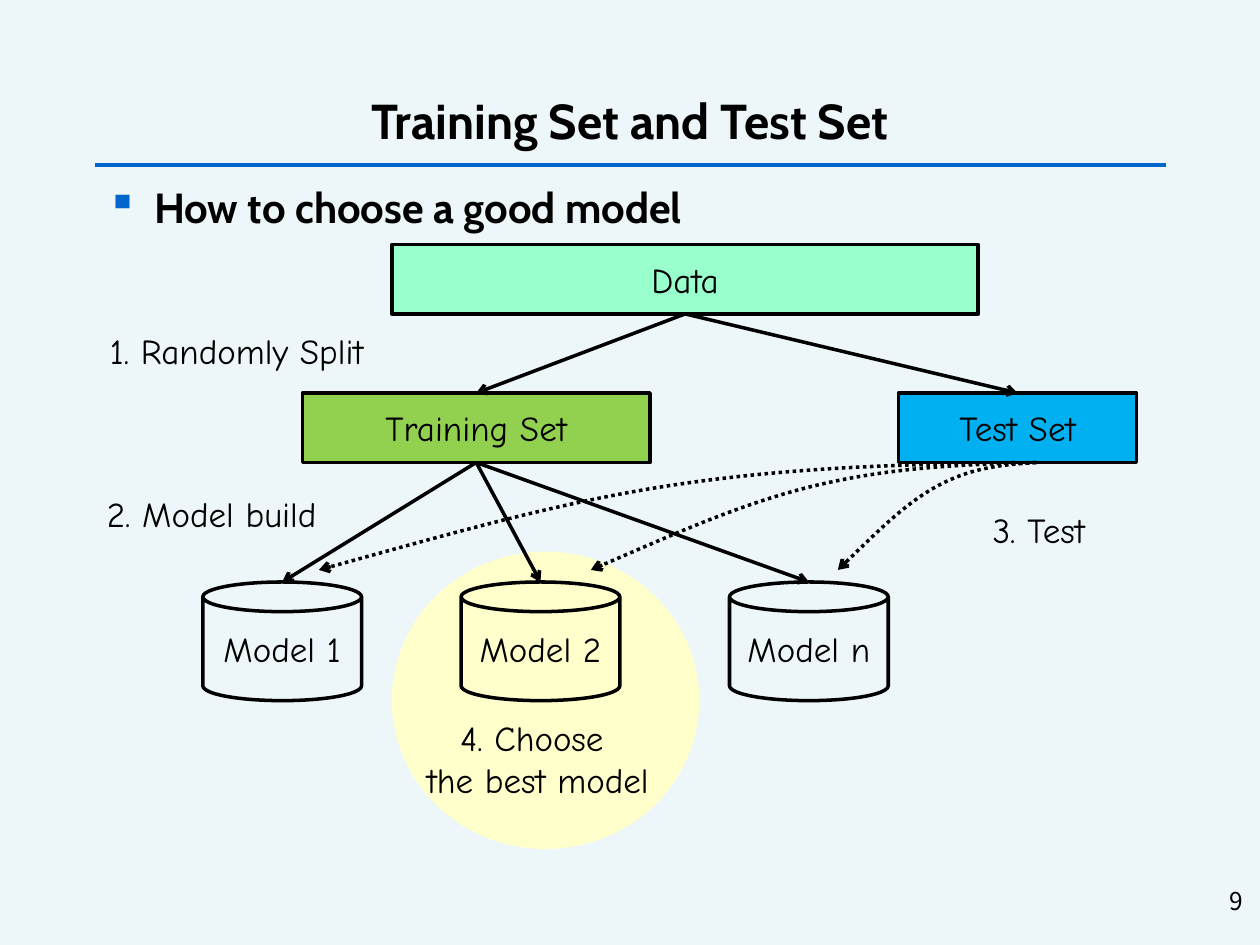
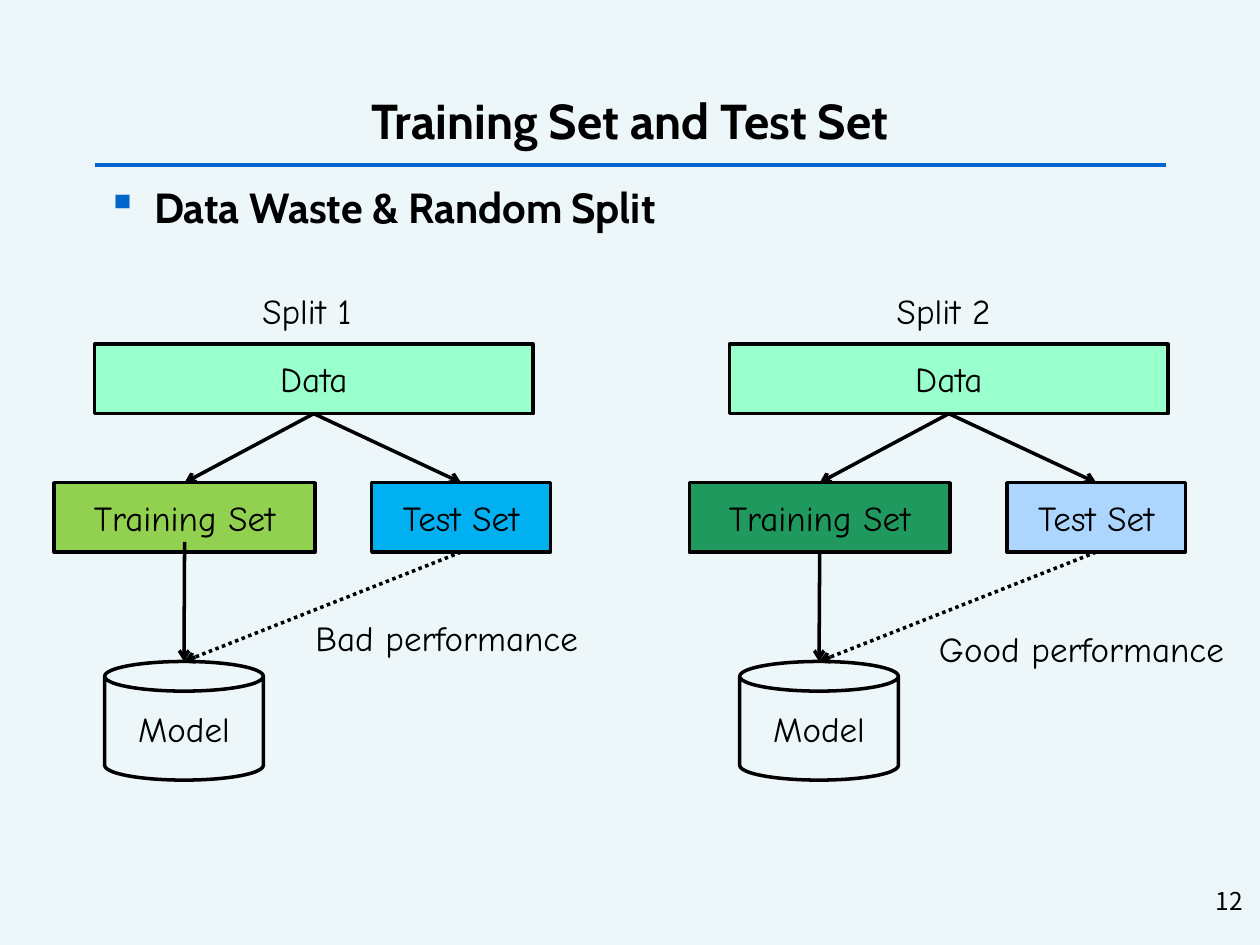
"""Build two slides on splitting data into a training set and a test set."""
import lxml.etree
import pptx
import pptx.dml.color
import pptx.enum.dml
import pptx.enum.shapes
import pptx.enum.text
import pptx.oxml.ns
import pptx.util

TITLE = "Training Set and Test Set"
PAPER, INK, ACCENT = "EDF7F9", "000000", "0066CC"
MINT, GREEN, BLUE, CREAM = "99FFCC", "92D050", "00B0F0", "FFFFCC"
DARK_GREEN, PALE_BLUE = "1F995D", "ADD6FF"
HEAD_FONT, DIAGRAM_FONT, NUMBER_FONT = "Cabin", "Comic Neue", "Noto Sans CJK KR"
BAR_HEIGHT, LABEL_HEIGHT = 39.7, 31.5
MODEL_WIDTH, MODEL_HEIGHT = 90.7, 67.8

CHOOSING = {
    "heading": "How to choose a good model",
    "page": "9",
    "data": ("Data", 224, 139.7, 335),
    "sets": [("Training Set", 172.8, 224.6, 198.7, GREEN),
             ("Test Set", 513.4, 224.6, 136.1, BLUE)],
    "models": [("Model 1", 115.9), ("Model 2", 263.5), ("Model n", 416.9)],
    "model_top": 332.6,
    "steps": [("1. Randomly Split", 55.4, 185, 160),
              ("2. Model build", 54, 278, 134),
              ("3. Test", 559.4, 287, 68.4)],
    "test_curves": [(579.6, 182.2), (591.8, 337.7), (592.4, 478.8)],
    "curve_drop": 61.4,
    "best": ("4. Choose \nthe best model", 236.9, 406, 141),
    "best_spot": (223.9, 315.2, 175.7, 170),
}
CURVE_STEPS = [(0.16, 0.02), (0.31, 0.04), (0.48, 0.2),
               (0.65, 0.36), (0.82, 0.68), (1, 1)]

SPLITTING = {
    "heading": "Data Waste & Random Split",
    "page": "12",
    "data": ("Data", 54, 196.7, 250.6),
    "training": ("Training Set", 31, 275.8, 149),
    "test": ("Test Set", 212.4, 275.8, 102.2),
    "model": ("Model", 59.8, 378),
    "pitch": 362.9,
    "splits": [
        {"name": ("Split 1", 142.6, 162, 65.5), "fills": (GREEN, BLUE), "overlap": 5.8,
         "result": ("Bad performance", 172.8, 349, 165)},
        {"name": ("Split 2", 505.4, 162, 67.7), "fills": (DARK_GREEN, PALE_BLUE), "overlap": 0,
         "result": ("Good performance", 529.2, 355, 177.8)},
    ],
}


def points(*lengths):
    """Turn numbers into lengths in points."""
    return [pptx.util.Pt(length) for length in lengths]


def rgb(code):
    """Turn a hex string into a colour."""
    return pptx.dml.color.RGBColor.from_string(code)


def write(frame, text, size=20, font=DIAGRAM_FONT, bold=False, align="CENTER",
          anchor="TOP", wrap=True, bullet=None):
    """Put formatted text into a text frame."""
    frame.word_wrap = wrap
    frame.auto_size = pptx.enum.text.MSO_AUTO_SIZE.NONE
    frame.vertical_anchor = getattr(pptx.enum.text.MSO_ANCHOR, anchor)
    paragraph = frame.paragraphs[0]
    paragraph.text = text
    paragraph.alignment = getattr(pptx.enum.text.PP_ALIGN, align)
    if bullet:
        qn = pptx.oxml.ns.qn
        properties = paragraph._p.get_or_add_pPr()
        properties.set("marL", str(pptx.util.Pt(27)))
        properties.set("indent", str(pptx.util.Pt(-27)))
        bullet_colour = lxml.etree.SubElement(properties, qn("a:buClr"))
        lxml.etree.SubElement(bullet_colour, qn("a:srgbClr"), val=ACCENT)
        lxml.etree.SubElement(properties, qn("a:buChar"), char=bullet)
    for run in paragraph.runs:
        run.font.name, run.font.size, run.font.bold = font, pptx.util.Pt(size), bold
        run.font.color.rgb = rgb(INK)


def label(slide, text, left, top, width, height=LABEL_HEIGHT, **style):
    """Add a text box."""
    box = slide.shapes.add_textbox(*points(left, top, width, height))
    write(box.text_frame, text, **style)


def stroke(shape, colour=INK, width=2, dotted=False, arrow=False):
    """Format a line or outline."""
    shape.line.color.rgb = rgb(colour)
    shape.line.width = pptx.util.Pt(width)
    if dotted:
        shape.line.dash_style = pptx.enum.dml.MSO_LINE.ROUND_DOT
    if arrow:
        outline = shape.element.spPr.find(pptx.oxml.ns.qn("a:ln"))
        lxml.etree.SubElement(outline, pptx.oxml.ns.qn("a:tailEnd"), type="arrow")


def connect(slide, start, end, **style):
    """Draw a straight line between two points."""
    line = slide.shapes.add_connector(
        pptx.enum.shapes.MSO_CONNECTOR.STRAIGHT, *points(*start, *end))
    stroke(line, **style)
    lxml.etree.SubElement(line.element.spPr, pptx.oxml.ns.qn("a:effectLst"))


def block(slide, kind, left, top, width, height, text="", fill=None, outlined=True):
    """Add a preset shape and return its top and bottom centres."""
    shape = slide.shapes.add_shape(
        getattr(pptx.enum.shapes.MSO_SHAPE, kind), *points(left, top, width, height))
    shape.shadow.inherit = False
    if fill:
        shape.fill.solid()
        shape.fill.fore_color.rgb = rgb(fill)
    else:
        shape.fill.background()
    if outlined:
        stroke(shape)
    else:
        shape.line.fill.background()
    if text:
        write(shape.text_frame, text, anchor="MIDDLE")
    middle = left + width / 2
    return (middle, top), (middle, top + height)


def bar(slide, text, left, top, width, fill):
    """Add a data bar."""
    return block(slide, "RECTANGLE", left, top, width, BAR_HEIGHT, text, fill)


def model(slide, text, left, top):
    """Add a model drum."""
    return block(slide, "CAN", left, top, MODEL_WIDTH, MODEL_HEIGHT, text)


def test_curve(slide, start, end):
    """Draw a dotted curved arrow of two Bezier segments."""
    (x, y), (end_x, end_y) = start, end
    builder = slide.shapes.build_freeform(*points(x, y), scale=1.0)
    builder.add_line_segments(
        [points(x + (end_x - x) * across, y + (end_y - y) * down)
         for across, down in CURVE_STEPS], close=False)
    curve = builder.convert_to_shape()
    curve.shadow.inherit = False
    curve.fill.background()
    stroke(curve, dotted=True, arrow=True)
    qn = pptx.oxml.ns.qn
    outline = next(curve.element.iter(qn("a:path")))
    corners = outline.findall(qn("a:lnTo"))
    for first in range(0, len(corners), 3):
        bezier = lxml.etree.SubElement(outline, qn("a:cubicBezTo"))
        for corner in corners[first:first + 3]:
            bezier.append(corner[0])
            outline.remove(corner)


def start_slide(deck, content):
    """Add a slide with the shared title, rule, heading and page number."""
    slide = deck.slides.add_slide(deck.slide_layouts[5])
    title = slide.shapes.title
    title.left, title.top, title.width, title.height = points(54, 48.2, 612, 40.3)
    write(title.text_frame, TITLE, size=28, font=HEAD_FONT, bold=True, anchor="MIDDLE")
    connect(slide, (54, 94.3), (666, 94.3), colour=ACCENT, width=2.25)
    label(slide, content["heading"], 54, 100, 612, 380, size=24, font=HEAD_FONT,
          bold=True, align="LEFT", bullet="▪")
    label(slide, content["page"], 567.4, 502.6, 149.8, 36, size=14,
          font=NUMBER_FONT, align="RIGHT")
    return slide


def choosing_slide(deck):
    """Show how the best of several models is chosen."""
    content = CHOOSING
    slide = start_slide(deck, content)
    block(slide, "OVAL", *content["best_spot"], fill=CREAM, outlined=False)
    label(slide, *content["best"], 55.4, wrap=False)
    _, data_foot = bar(slide, *content["data"], MINT)
    set_ends = [bar(slide, *part) for part in content["sets"]]
    for head, _ in set_ends:
        connect(slide, data_foot, head, arrow=True)
    training_foot, test_foot = [foot for _, foot in set_ends]
    for name, left in content["models"]:
        head, _ = model(slide, name, left, content["model_top"])
        connect(slide, training_foot, head, arrow=True)
    for start_x, end_x in content["test_curves"]:
        top = test_foot[1]
        test_curve(slide, (start_x, top), (end_x, top + content["curve_drop"]))
    for step in content["steps"]:
        label(slide, *step, wrap=False)


def splitting_slide(deck):
    """Compare the results of two random splits."""
    content = SPLITTING
    slide = start_slide(deck, content)
    for index, split in enumerate(content["splits"]):
        def placed(part):
            """Move a part to the column of its split."""
            text, left, *rest = part
            return text, left + index * content["pitch"], *rest

        training_fill, test_fill = split["fills"]
        _, data_foot = bar(slide, *placed(content["data"]), MINT)
        training_head, training_foot = bar(slide, *placed(content["training"]), training_fill)
        test_head, test_foot = bar(slide, *placed(content["test"]), test_fill)
        model_head, _ = model(slide, *placed(content["model"]))
        connect(slide, data_foot, training_head, arrow=True)
        connect(slide, data_foot, test_head, arrow=True)
        build_start = training_foot[0], training_foot[1] - split["overlap"]
        connect(slide, build_start, model_head, arrow=True)
        connect(slide, test_foot, model_head, dotted=True, arrow=True)
        label(slide, *split["name"], wrap=False)
        label(slide, *split["result"], wrap=False)


def main():
    """Build and save the deck."""
    deck = pptx.Presentation()
    deck.slide_width, deck.slide_height = points(720, 540)
    backdrop = deck.slide_master.background.fill
    backdrop.solid()
    backdrop.fore_color.rgb = rgb(PAPER)
    choosing_slide(deck)
    splitting_slide(deck)
    deck.save("out.pptx")


if __name__ == "__main__":
    main()
